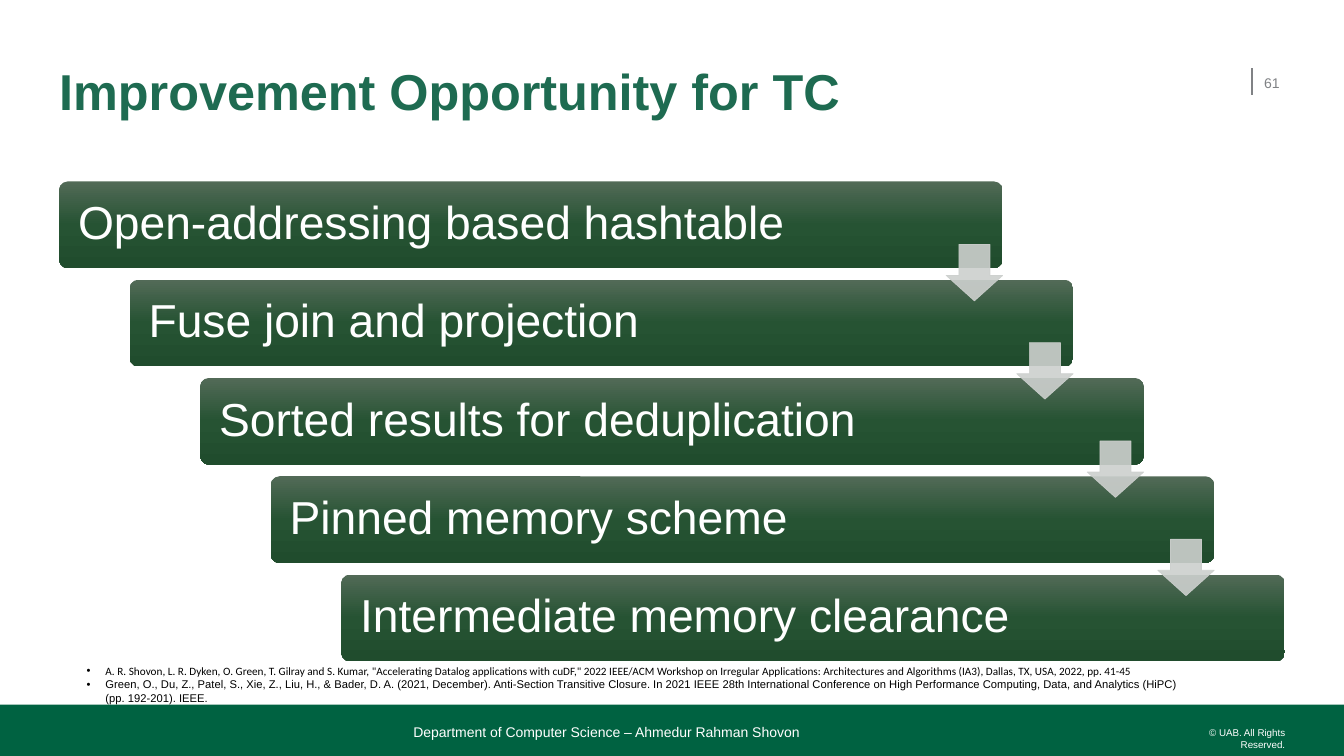
from copy import deepcopy

from lxml import etree
from pptx import Presentation
from pptx.dml.color import RGBColor
from pptx.enum.shapes import MSO_CONNECTOR, MSO_SHAPE
from pptx.enum.text import MSO_ANCHOR, MSO_AUTO_SIZE, PP_ALIGN
from pptx.oxml.ns import qn
from pptx.util import Pt

RECT, ROUNDED, DOWN_ARROW = MSO_SHAPE.RECTANGLE, MSO_SHAPE.ROUNDED_RECTANGLE, MSO_SHAPE.DOWN_ARROW
STRAIGHT = MSO_CONNECTOR.STRAIGHT
TOP, MIDDLE, BOTTOM = MSO_ANCHOR.TOP, MSO_ANCHOR.MIDDLE, MSO_ANCHOR.BOTTOM
LEFT, RIGHT = PP_ALIGN.LEFT, PP_ALIGN.RIGHT
NO_AUTOFIT = MSO_AUTO_SIZE.NONE

COLORS = {
    "title": "1E6B51", "footer": "006241", "grey": "808285", "white": "FFFFFF",
    "black": "000000", "arrow": "CDD0CE",
    "bar_top": "526A57", "bar_middle": "265333", "bar_bottom": "204C2D",
}
STEPS = [
    "Open-addressing based hashtable",
    "Fuse join and projection",
    "Sorted results for deduplication",
    "Pinned memory scheme",
    "Intermediate memory clearance",
]
CITATIONS = [
    ("Calibri", 'A. R. Shovon, L. R. Dyken, O. Green, T. Gilray and S. Kumar, "Accelerating Datalog '
     'applications with cuDF," 2022 IEEE/ACM Workshop on Irregular Applications: Architectures and '
     'Algorithms (IA3), Dallas, TX, USA, 2022, pp. 41-45'),
    ("Arial", "Green, O., Du, Z., Patel, S., Xie, Z., Liu, H., & Bader, D. A. (2021, December). "
     "Anti-Section Transitive Closure. In 2021 IEEE 28th International Conference on High Performance "
     "Computing, Data, and Analytics (HiPC) (pp. 192-201). IEEE."),
]


def rgb(name):
    """Return the named colour."""
    return RGBColor.from_string(COLORS[name])


def set_font(paragraph, size, color, name="Arial", bold=False):
    """Format a whole paragraph."""
    font = paragraph.font
    font.name, font.size, font.bold = name, Pt(size), bold
    font.color.rgb = rgb(color)


def set_frame(shape, anchor, inset_x=0, inset_y=0):
    """Set wrapping, anchor and insets of a shape's text, and return its frame."""
    frame = shape.text_frame
    frame.word_wrap, frame.auto_size, frame.vertical_anchor = True, NO_AUTOFIT, anchor
    frame.margin_left = frame.margin_right = Pt(inset_x)
    frame.margin_top = frame.margin_bottom = Pt(inset_y)
    return frame


def add_label(slide, box, text, size, color, anchor, align=LEFT):
    """Add a one-paragraph text box."""
    frame = set_frame(slide.shapes.add_textbox(*map(Pt, box)), anchor)
    paragraph = frame.paragraphs[0]
    paragraph.text, paragraph.alignment = text, align
    set_font(paragraph, size, color)


def add_plain_shape(slide, kind, box):
    """Add a preset shape without shadow or outline."""
    shape = slide.shapes.add_shape(kind, *map(Pt, box))
    shape.shadow.inherit = False
    shape.line.fill.background()
    return shape


def add_header(slide, box):
    """Place the title, the divider and the page number."""
    left, top, width, height = box
    title = slide.shapes.title
    title.left, title.top, title.width, title.height = Pt(left), Pt(top), Pt(810), Pt(height)
    heading = set_frame(title, MIDDLE).paragraphs[0]
    heading.text, heading.alignment, heading.line_spacing = "Improvement Opportunity for TC", LEFT, 0.9
    set_font(heading, 36, "title", bold=True)

    right = left + width
    divider = slide.shapes.add_connector(
        STRAIGHT, Pt(right - 23.4), Pt(top + 11.5), Pt(right - 23.4), Pt(top + 30.2))
    divider.line.color.rgb, divider.line.width = rgb("grey"), Pt(1)
    etree.SubElement(divider._element.spPr, qn("a:effectLst"))
    add_label(slide, (right - 14.8, top + 7.2, 24, 28.8), "61", 10, "grey", MIDDLE)


def add_bar(slide, box, text):
    """Add one gradient bar with its step text."""
    bar = add_plain_shape(slide, ROUNDED, box)
    bar.adjustments[0] = 0.1
    bar.fill.gradient()
    bar.fill.gradient_angle = 270
    stops = bar._element.spPr.find(".//" + qn("a:gsLst"))
    stops.append(deepcopy(stops[0]))
    names = ("bar_top", "bar_middle", "bar_bottom")
    for stop, name, position in zip(bar.fill.gradient_stops, names, (0, 0.5, 1)):
        stop.color.rgb, stop.position = rgb(name), position
    step = set_frame(bar, MIDDLE, 11.7, 10).paragraphs[0]
    step.text, step.alignment, step.line_spacing = text, LEFT, 0.9
    set_font(step, 33, "white")


def add_step_arrow(slide, box):
    """Add one translucent arrow leading to the next bar."""
    arrow = add_plain_shape(slide, DOWN_ARROW, box)
    arrow.adjustments[0], arrow.adjustments[1] = 0.55, 0.45
    arrow.fill.solid()
    arrow.fill.fore_color.rgb = arrow.line.color.rgb = rgb("arrow")
    arrow.line.width = Pt(0.5)
    for color in arrow._element.spPr.iter(qn("a:srgbClr")):
        etree.SubElement(color, qn("a:alpha"), val="90000")


def add_staircase(slide, box):
    """Fill the box with descending bars joined by arrows."""
    left, top, width, height = box
    bar_width, bar_height, arrow_size = 673.9, 61.9, 40.3
    gaps = len(STEPS) - 1
    shift, drop = (width - bar_width) / gaps, (height - bar_height) / gaps
    for i, text in enumerate(STEPS):
        add_bar(slide, (left + i * shift, top + i * drop, bar_width, bar_height), text)
    for i in range(gaps):
        add_step_arrow(slide, (left + i * shift + bar_width - arrow_size,
                               top + i * drop + 45, arrow_size, arrow_size))


def add_citations(slide, box):
    """Place the bulleted references."""
    frame = set_frame(slide.shapes.add_textbox(*map(Pt, box)), TOP, 7.2, 3.6)
    for i, (font_name, text) in enumerate(CITATIONS):
        citation = frame.add_paragraph() if i else frame.paragraphs[0]
        citation.text = text
        properties = citation._p.get_or_add_pPr()
        properties.set("marL", str(Pt(13.5)))
        properties.set("indent", str(-Pt(13.5)))
        etree.SubElement(properties, qn("a:buFont"), typeface="Arial")
        etree.SubElement(properties, qn("a:buChar"), char="•")
        set_font(citation, 8, "black", font_name)


def add_footer(slide, box):
    """Place the footer band and its two texts."""
    left, top, width, _ = box
    band = add_plain_shape(slide, RECT, box)
    band.fill.solid()
    band.fill.fore_color.rgb = rgb("footer")
    add_label(slide, (left + width - 128.4, top + 16, 86.4, 8.6),
              "© UAB. All Rights Reserved.", 7, "white", TOP, RIGHT)
    add_label(slide, (left + 295.2, top + 8.6, 509.8, 16.6),
              "Department of Computer Science – Ahmedur Rahman Shovon", 10, "white", BOTTOM)


def main():
    """Build and save the slide."""
    deck = Presentation()
    deck.slide_width, deck.slide_height = Pt(960), Pt(540)
    slide = deck.slides.add_slide(deck.slide_layouts[5])
    add_footer(slide, (0, 503.3, 960, 36.7))
    add_header(slide, (42.3, 37.4, 875.4, 60.5))
    add_staircase(slide, (42.3, 129.6, 875.4, 342.7))
    add_citations(slide, (54.7, 470.9, 797.8, 36))
    deck.save("out.pptx")


if __name__ == "__main__":
    main()
